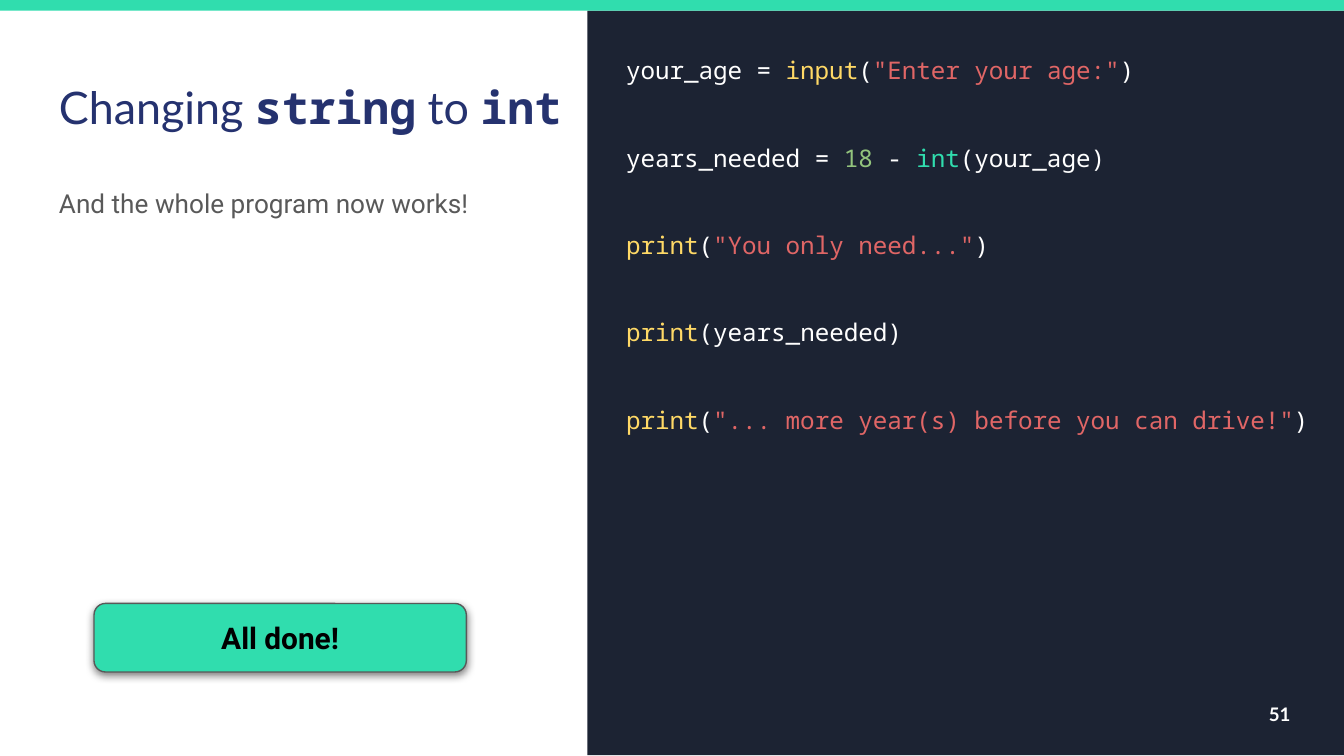
from lxml.etree import SubElement
from pptx import Presentation
from pptx.dml.color import RGBColor
from pptx.enum.shapes import MSO_SHAPE
from pptx.enum.text import MSO_ANCHOR, PP_ALIGN
from pptx.oxml.ns import qn
from pptx.util import Inches, Pt

WHITE = RGBColor(0xFF, 0xFF, 0xFF)
BLACK = RGBColor(0x00, 0x00, 0x00)
NIGHT = RGBColor(0x1C, 0x23, 0x33)
MINT = RGBColor(0x30, 0xDD, 0xAE)
NAVY = RGBColor(0x25, 0x32, 0x6F)
GRAY = RGBColor(0x59, 0x59, 0x59)
YELLOW = RGBColor(0xFF, 0xD9, 0x66)
RED = RGBColor(0xE0, 0x66, 0x66)
GREEN = RGBColor(0x93, 0xC4, 0x7D)

CODE_LINES = [
    [("your_age = ", WHITE), ("input", YELLOW), ("(", WHITE),
     ('"Enter your age:"', RED), (")", WHITE)],
    [("years_needed = ", WHITE), ("18 ", GREEN), ("- ", WHITE),
     ("int", MINT), ("(your_age)", WHITE)],
    [("print", YELLOW), ("(", WHITE), ('"You only need..."', RED), (")", WHITE)],
    [("print", YELLOW), ("(years_needed)", WHITE)],
    [("print", YELLOW), ("(", WHITE),
     ('"... more year(s) before you can drive!"', RED), (")", WHITE)],
]


class LessonSlide:
    heading_font = "Lato"
    body_font = "Roboto"
    code_font = "Noto Sans Mono"
    cell = Inches(0.1)

    def __init__(self, deck):
        self.page = deck.slides.add_slide(deck.slide_layouts[6])

    def place(self, columns_rows):
        return [round(self.cell * count) for count in columns_rows]

    def prepare(self, frame, anchor=MSO_ANCHOR.TOP):
        frame.word_wrap = True
        frame.vertical_anchor = anchor
        frame.margin_left = frame.margin_right = self.cell
        frame.margin_top = frame.margin_bottom = self.cell
        return frame

    def style(self, para, font, size, color=None, bold=None):
        para.font.name = font
        para.font.size = Pt(size)
        para.font.bold = bold
        if color is not None:
            para.font.color.rgb = color

    def text_box(self, area, anchor=MSO_ANCHOR.TOP):
        box = self.page.shapes.add_textbox(*self.place(area))
        return self.prepare(box.text_frame, anchor)

    def panel(self, area, color, kind=MSO_SHAPE.RECTANGLE):
        shape = self.page.shapes.add_shape(kind, *self.place(area))
        shape.shadow.inherit = False
        shape.fill.solid()
        shape.fill.fore_color.rgb = color
        shape.line.fill.background()
        return shape

    def label(self, area, text, font, size, color, bold=None,
              align=PP_ALIGN.LEFT, anchor=MSO_ANCHOR.TOP):
        para = self.text_box(area, anchor).paragraphs[0]
        para.text = text
        para.alignment = align
        self.style(para, font, size, color, bold)
        return para

    def title(self, area, pieces):
        para = self.text_box(area).paragraphs[0]
        self.style(para, self.heading_font, 24, NAVY)
        for text, is_code in pieces:
            span = para.add_run()
            span.text = text
            span.font.name = self.code_font if is_code else self.heading_font
            span.font.bold = is_code

    def code(self, area, lines):
        frame = self.text_box(area)
        for index, line in enumerate(lines):
            para = frame.add_paragraph() if index else frame.paragraphs[0]
            self.style(para, self.code_font, 13)
            para.line_spacing = Pt(23.8)
            para.space_after = Pt(23)
            for text, color in line:
                span = para.add_run()
                span.text = text
                span.font.color.rgb = color

    def button(self, area, text):
        shape = self.panel(area, MINT, MSO_SHAPE.ROUNDED_RECTANGLE)
        shape.line.color.rgb = GRAY
        shape.line.width = Pt(0.75)
        effects = shape._element.spPr.find(qn("a:effectLst"))
        shadow = SubElement(effects, qn("a:outerShdw"), blurRad=str(Pt(4.5)),
                            dist=str(Pt(1.5)), dir="5400000",
                            algn="bl", rotWithShape="0")
        tint = SubElement(shadow, qn("a:srgbClr"), val=str(BLACK))
        SubElement(tint, qn("a:alpha"), val="50000")
        para = self.prepare(shape.text_frame, MSO_ANCHOR.MIDDLE).paragraphs[0]
        para.text = text
        para.alignment = PP_ALIGN.CENTER
        self.style(para, self.body_font, 16, BLACK, True)


def main():
    deck = Presentation()
    deck.slide_width = Inches(10)
    deck.slide_height = deck.slide_width * 9 // 16

    lesson = LessonSlide(deck)
    lesson.panel((43.7, 0.8, 56.4, 55.4), NIGHT)
    lesson.code((45.6, 2, 54.4, 52.1), CODE_LINES)
    lesson.title((3.4, 4.9, 49.9, 6.3), [
        ("Changing ", False), ("string", True), (" to ", False), ("int", True)])
    lesson.label((91, 51, 6, 4.3), "51", lesson.heading_font, 10, WHITE, True,
                 PP_ALIGN.RIGHT, MSO_ANCHOR.MIDDLE)
    lesson.panel((-0.1, 0, 100.2, 0.8), MINT)
    message = lesson.label((3.4, 12.6, 37.1, 41.5),
                           "And the whole program now works!",
                           lesson.body_font, 14, GRAY)
    message.line_spacing = 1.15
    message.space_after = Pt(16)
    lesson.button((7, 44.9, 27.7, 5.1), "All done!")

    deck.save("out.pptx")


if __name__ == "__main__":
    main()
